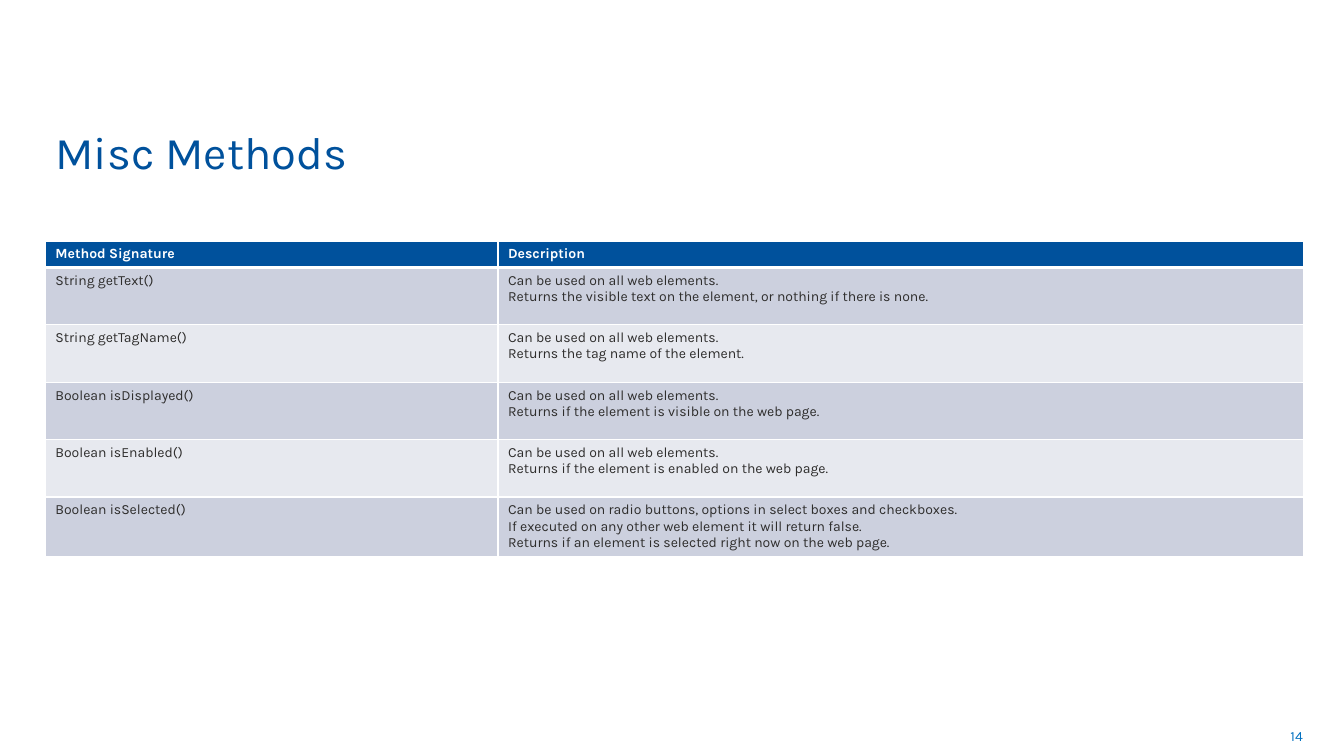
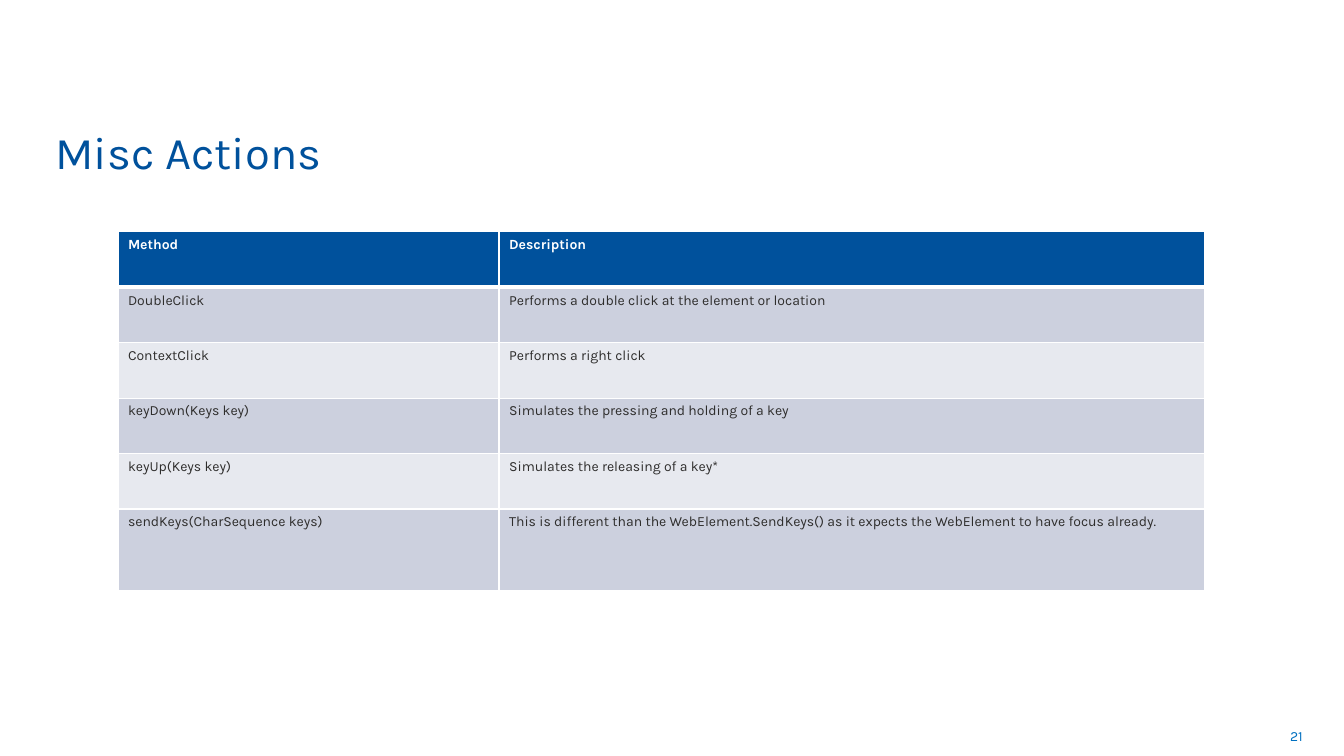
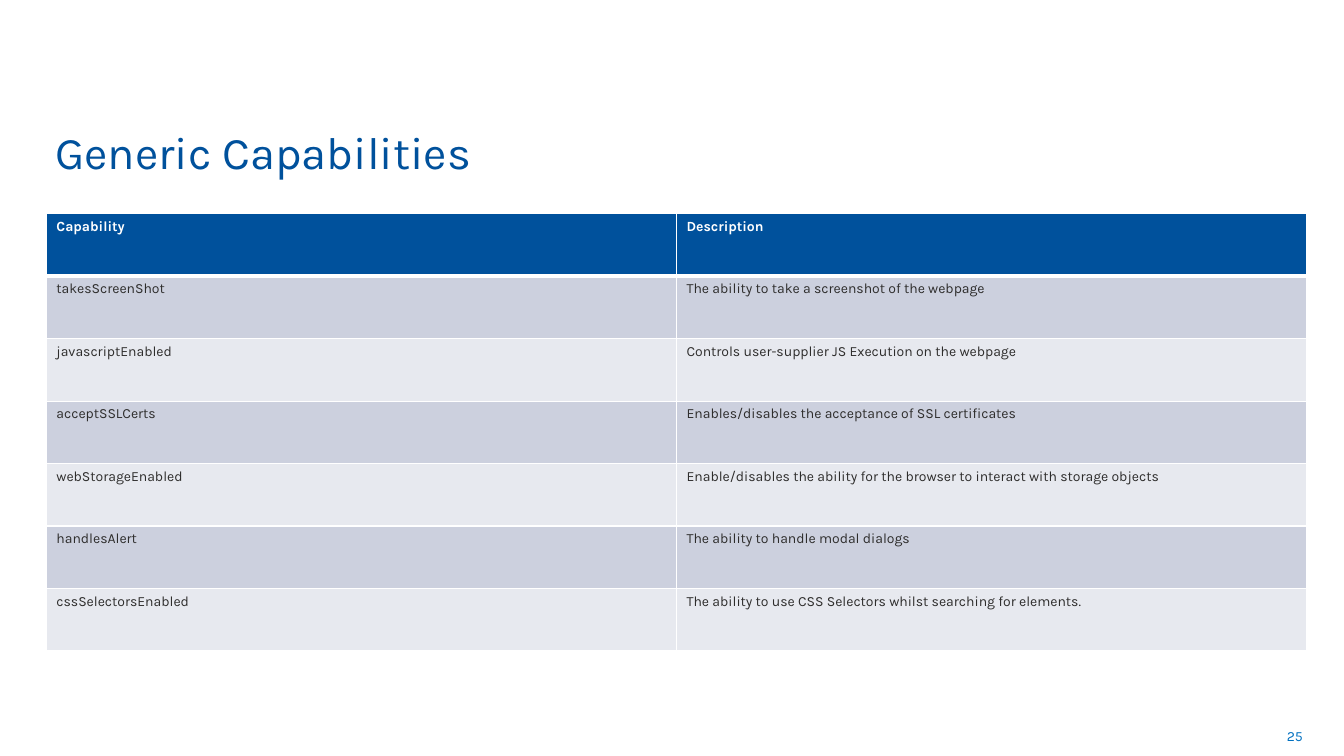
"""Build three reference slides, each with a title, a two-column table and a page number."""
from dataclasses import dataclass

from lxml import etree
from pptx import Presentation
from pptx.dml.color import RGBColor
from pptx.enum.text import MSO_ANCHOR, MSO_AUTO_SIZE, PP_ALIGN
from pptx.oxml.ns import qn
from pptx.util import Inches, Pt

LEFT, RIGHT = PP_ALIGN.LEFT, PP_ALIGN.RIGHT
TOP, MIDDLE, BOTTOM = MSO_ANCHOR.TOP, MSO_ANCHOR.MIDDLE, MSO_ANCHOR.BOTTOM
NO_FIT = MSO_AUTO_SIZE.NONE
TITLE_ONLY = 5


@dataclass(frozen=True)
class Theme:
    font: str = "Karla"
    heading: str = "00519C"
    number: str = "0070C0"
    ink: str = "2E2D2C"
    white: str = "FFFFFF"
    bands: tuple = ("CCD0DE", "E7E9EF")
    title_size: float = 32.4
    text_size: float = 10
    rule: float = 1
    header_rule: float = 3


THEME = Theme()

ALL_ELEMENTS = "Can be used on all web elements.\n"
PAGES = [
    {
        "title": "Misc Methods",
        "number": "14",
        "place": (0.45, 2.39),
        "columns": (4.49, 7.99),
        "heights": [0.19] + [0.57] * 5,
        "entries": [
            ("Method Signature", "Description"),
            ("String getText()", ALL_ELEMENTS
             + "Returns the visible text on the element, or nothing if there is none."),
            ("String getTagName()", ALL_ELEMENTS + "Returns the tag name of the element."),
            ("Boolean isDisplayed()", ALL_ELEMENTS
             + "Returns if the element is visible on the web page."),
            ("Boolean isEnabled()", ALL_ELEMENTS
             + "Returns if the element is enabled on the web page."),
            ("Boolean isSelected()",
             "Can be used on radio buttons, options in select boxes and checkboxes.\n"
             "If executed on any other web element it will return false.\n"
             "Returns if an element is selected right now on the web page."),
        ],
    },
    {
        "title": "Misc Actions",
        "number": "21",
        "place": (1.17, 2.3),
        "columns": (3.78, 7),
        "heights": [0.55] * 5 + [0.81],
        "entries": [
            ("Method", "Description"),
            ("DoubleClick", "Performs a double click at the element or location"),
            ("ContextClick", "Performs a right click"),
            ("keyDown(Keys key)", "Simulates the pressing and holding of a key"),
            ("keyUp(Keys key)", "Simulates the releasing of a key*"),
            ("sendKeys(CharSequence keys)",
             "This is different than the WebElement.SendKeys() as it expects the WebElement "
             "to have focus already."),
        ],
    },
    {
        "title": "Generic Capabilities",
        "number": "25",
        "place": (0.46, 2.12),
        "columns": (6.25, 6.25),
        "heights": [0.62] * 7,
        "entries": [
            ("Capability", "Description"),
            ("takesScreenShot", "The ability to take a screenshot of the webpage"),
            ("javascriptEnabled", "Controls user-supplier JS Execution on the webpage"),
            ("acceptSSLCerts", "Enables/disables the acceptance of SSL certificates"),
            ("webStorageEnabled",
             "Enable/disables the ability for the browser to interact with storage objects"),
            ("handlesAlert", "The ability to handle modal dialogs"),
            ("cssSelectorsEnabled",
             "The ability to use CSS Selectors whilst searching for elements."),
        ],
    },
]


def write(frame, text, size, color, bold=False, align=LEFT):
    frame.text = text
    style = {"name": THEME.font, "size": Pt(size), "bold": bold}
    for paragraph in frame.paragraphs:
        paragraph.alignment = align
        for run in paragraph.runs:
            for attribute, value in style.items():
                setattr(run.font, attribute, value)
            run.font.color.rgb = RGBColor.from_string(color)


def rule_cell(cell, top, bottom):
    properties = cell._tc.get_or_add_tcPr()
    widths = {"a:lnL": THEME.rule, "a:lnR": THEME.rule, "a:lnT": top, "a:lnB": bottom}
    for position, (side, width) in enumerate(widths.items()):
        line = etree.Element(qn(side), w=str(Pt(width)))
        fill = etree.SubElement(line, qn("a:solidFill"))
        etree.SubElement(fill, qn("a:srgbClr"), val=THEME.white)
        properties.insert(position, line)


deck = Presentation()
deck.slide_width, deck.slide_height = Inches(13.33), Inches(7.5)
layout = deck.slide_layouts[TITLE_ONLY]
title_box = {"left": 0.45, "top": 1.13, "width": 9.98, "height": 0.69}
for attribute, value in title_box.items():
    setattr(layout.placeholders[0], attribute, Inches(value))

for page in PAGES:
    slide = deck.slides.add_slide(layout)

    heading = slide.shapes.title.text_frame
    write(heading, page["title"], THEME.title_size, THEME.heading)
    number = slide.shapes.add_textbox(
        Inches(9.91), Inches(7.1), Inches(3.11), Inches(0.4)).text_frame
    write(number, page["number"], THEME.text_size, THEME.number, align=RIGHT)
    for frame, anchor in ((heading, BOTTOM), (number, MIDDLE)):
        layout_format = {"auto_size": NO_FIT, "word_wrap": True, "vertical_anchor": anchor}
        for attribute, value in layout_format.items():
            setattr(frame, attribute, value)

    left, top = page["place"]
    entries = page["entries"]
    reference = slide.shapes.add_table(
        len(entries), len(page["columns"]), Inches(left), Inches(top),
        Inches(sum(page["columns"])), Inches(sum(page["heights"]))).table
    for column, width in zip(reference.columns, page["columns"]):
        column.width = Inches(width)
    for row, height in zip(reference.rows, page["heights"]):
        row.height = Inches(height)

    for row_index, entry in enumerate(entries):
        is_header = row_index == 0
        band = THEME.heading if is_header else THEME.bands[(row_index - 1) % 2]
        ink = THEME.white if is_header else THEME.ink
        upper = THEME.header_rule if row_index == 1 else THEME.rule
        lower = THEME.header_rule if is_header else THEME.rule
        for column_index, text in enumerate(entry):
            cell = reference.cell(row_index, column_index)
            write(cell.text_frame, text, THEME.text_size, ink, bold=is_header)
            cell.vertical_anchor = TOP
            cell.fill.solid()
            cell.fill.fore_color.rgb = RGBColor.from_string(band)
            rule_cell(cell, upper, lower)

deck.save("out.pptx")
